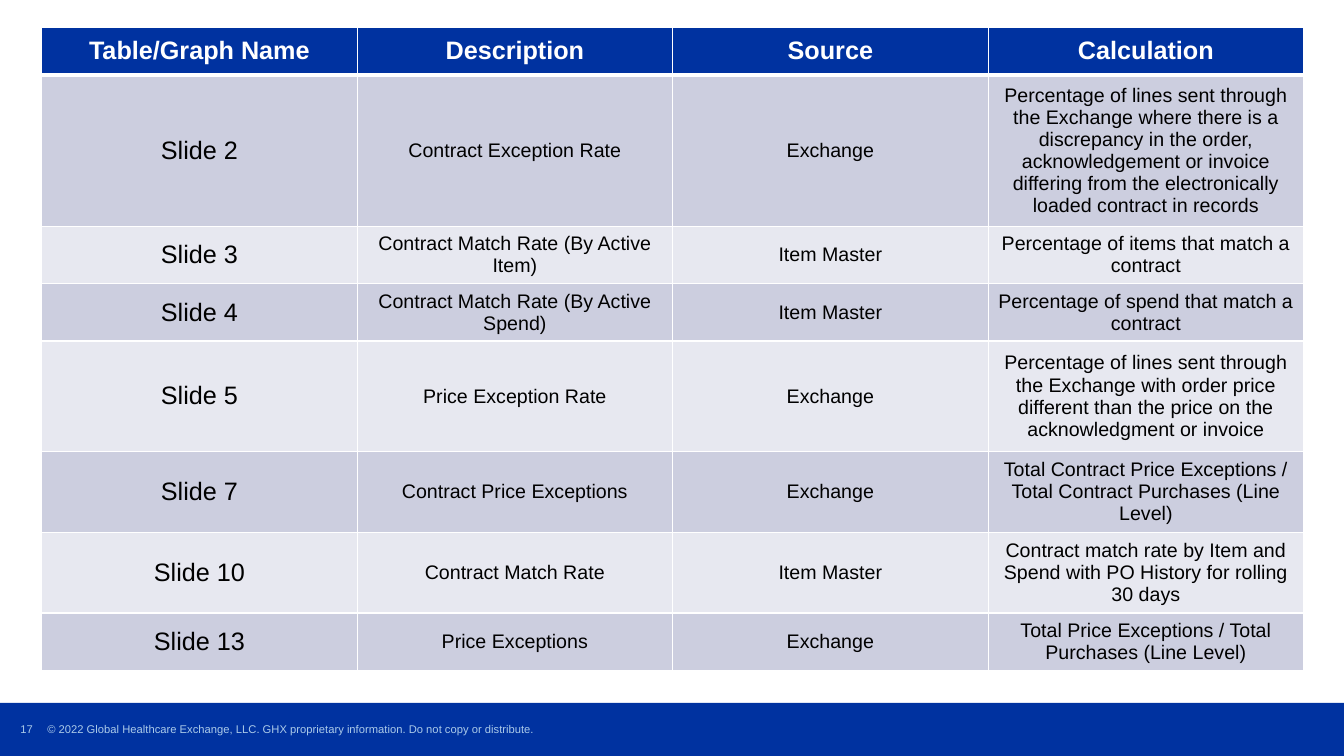
from lxml.etree import SubElement
from pptx import Presentation
from pptx.dml.color import RGBColor
from pptx.enum.shapes import MSO_SHAPE as Shape
from pptx.enum.text import MSO_ANCHOR as Anchor, PP_ALIGN as Align
from pptx.oxml.ns import qn
from pptx.util import Pt

HEADERS = ("Table/Graph Name", "Description", "Source", "Calculation")
# Row height in points, then the four cells
ROWS = [
    (102, "Slide 2", "Contract Exception Rate", "Exchange",
     "Percentage of lines sent through the Exchange where there is a discrepancy "
     "in the order, acknowledgement or invoice differing from the electronically "
     "loaded contract in records"),
    (38.5, "Slide 3", "Contract Match Rate (By Active Item)", "Item Master",
     "Percentage of items that match a contract"),
    (38.5, "Slide 4", "Contract Match Rate (By Active Spend)", "Item Master",
     "Percentage of spend that match a contract"),
    (79, "Slide 5", "Price Exception Rate", "Exchange",
     "Percentage of lines sent through the Exchange with order price different "
     "than the price on the acknowledgment or invoice"),
    (54, "Slide 7", "Contract Price Exceptions", "Exchange",
     "Total Contract Price Exceptions / Total Contract Purchases (Line Level)"),
    (54, "Slide 10", "Contract Match Rate", "Item Master",
     "Contract match rate by Item and Spend with PO History for rolling 30 days"),
    (38.5, "Slide 13", "Price Exceptions", "Exchange",
     "Total Price Exceptions / Total Purchases (Line Level)"),
]
PAGE_NUMBER = "17"
COPYRIGHT = ("© 2022 Global Healthcare Exchange, LLC. GHX proprietary information. "
             "Do not copy or distribute.")

FONT = "Arial"
BLUE = RGBColor(0x00, 0x32, 0xA0)
PALE_BLUE = RGBColor(0xAB, 0xCA, 0xE9)
BANDS = (RGBColor(0xCC, 0xCE, 0xDF), RGBColor(0xE7, 0xE8, 0xF0))
WHITE = RGBColor(0xFF, 0xFF, 0xFF)
BLACK = RGBColor(0x00, 0x00, 0x00)

PAGE_WIDTH, PAGE_HEIGHT = 960, 540
FOOTER_TOP = 502
TABLE_LEFT, TABLE_TOP, COLUMN_WIDTH = 29.75, 19.25, 225.36
HEADER_HEIGHT = 34.5


def write(frame, text, size, color, bold=False, align=Align.CENTER):
    para = frame.paragraphs[0]
    para.alignment = align
    span = para.add_run()
    span.text = text
    span.font.name = FONT
    span.font.size = Pt(size)
    span.font.bold = bold
    span.font.color.rgb = color


def add_footer_text(page, left, top, width, height, text, align):
    box = page.shapes.add_textbox(Pt(left), Pt(top), Pt(width), Pt(height))
    frame = box.text_frame
    frame.word_wrap = True
    frame.vertical_anchor = Anchor.MIDDLE
    frame.margin_left = frame.margin_right = 0
    frame.margin_top = frame.margin_bottom = 0
    write(frame, text, size=8, color=PALE_BLUE, align=align)


def fill_cell(cell, text, fill, bottom=1, **text_format):
    """Write one cell with its fill and white borders."""
    cell.vertical_anchor = Anchor.MIDDLE
    write(cell.text_frame, text, **text_format)
    properties = cell._tc.get_or_add_tcPr()
    for side, width in (("L", 1), ("R", 1), ("T", 1), ("B", bottom)):
        line = SubElement(properties, qn(f"a:ln{side}"), w=str(Pt(width)))
        paint = SubElement(line, qn("a:solidFill"))
        SubElement(paint, qn("a:srgbClr"), val=str(WHITE))
    cell.fill.solid()
    cell.fill.fore_color.rgb = fill


def add_definitions(page):
    heights = [HEADER_HEIGHT] + [row[0] for row in ROWS]
    table = page.shapes.add_table(
        len(heights), len(HEADERS), Pt(TABLE_LEFT), Pt(TABLE_TOP),
        Pt(COLUMN_WIDTH * len(HEADERS)), Pt(sum(heights))).table
    for column in table.columns:
        column.width = Pt(COLUMN_WIDTH)
    for row, height in zip(table.rows, heights):
        row.height = Pt(height)

    for c, title in enumerate(HEADERS):
        fill_cell(table.cell(0, c), title, BLUE, bottom=3,
                  size=18, color=WHITE, bold=True)
    for r, (_, *texts) in enumerate(ROWS):
        for c, text in enumerate(texts):
            fill_cell(table.cell(r + 1, c), text, BANDS[r % 2],
                      size=14 if c else 18, color=BLACK)


def add_footer(page):
    bar = page.shapes.add_shape(Shape.RECTANGLE, 0, Pt(FOOTER_TOP), Pt(PAGE_WIDTH),
                                Pt(PAGE_HEIGHT - FOOTER_TOP))
    bar.shadow.inherit = False
    bar.fill.solid()
    bar.fill.fore_color.rgb = BLUE
    bar.line.fill.background()
    add_footer_text(page, 5.75, 514, 26.5, 13, PAGE_NUMBER, Align.CENTER)
    add_footer_text(page, 33.75, 506, 538.5, 29, COPYRIGHT, Align.LEFT)


def main():
    deck = Presentation()
    deck.slide_width, deck.slide_height = Pt(PAGE_WIDTH), Pt(PAGE_HEIGHT)
    page = deck.slides.add_slide(deck.slide_layouts[6])
    add_footer(page)
    add_definitions(page)
    deck.save("out.pptx")


if __name__ == "__main__":
    main()
